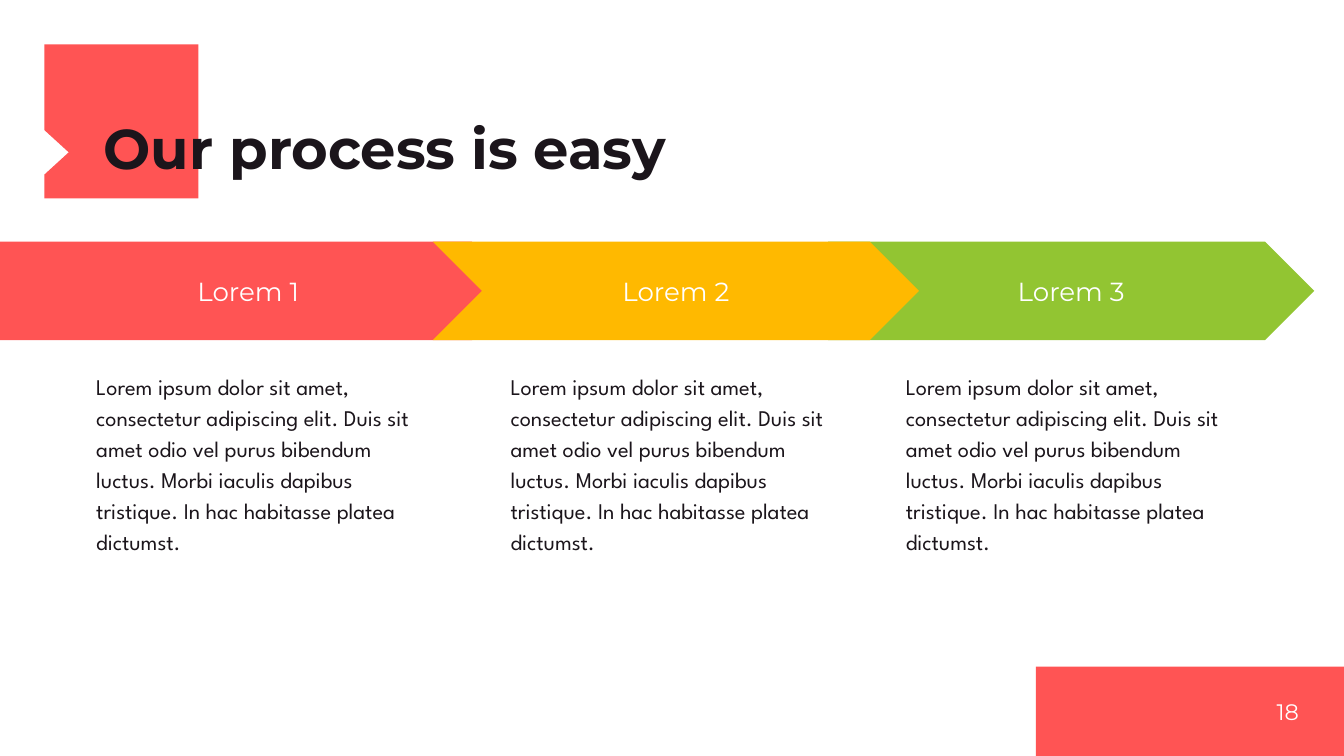
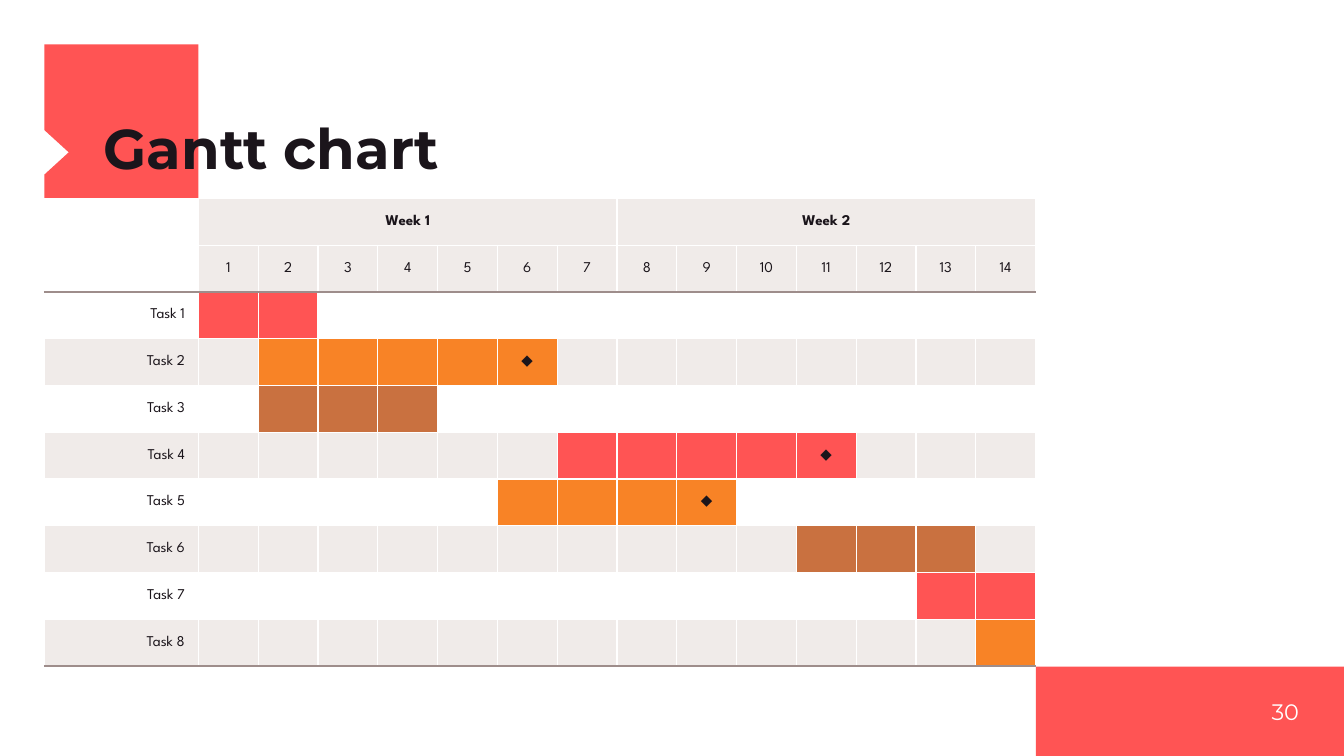
"""Builds a process slide and a Gantt chart slide in one shared style."""
from lxml import etree
from pptx import Presentation
from pptx.dml.color import RGBColor
from pptx.enum.shapes import MSO_SHAPE
from pptx.enum.text import MSO_ANCHOR, MSO_AUTO_SIZE, PP_ALIGN
from pptx.oxml.ns import qn
from pptx.util import Cm, Pt

LEFT, CENTER, RIGHT = PP_ALIGN.LEFT, PP_ALIGN.CENTER, PP_ALIGN.RIGHT
TOP, MIDDLE, BOTTOM = MSO_ANCHOR.TOP, MSO_ANCHOR.MIDDLE, MSO_ANCHOR.BOTTOM
RECTANGLE, PENTAGON, CHEVRON = MSO_SHAPE.RECTANGLE, MSO_SHAPE.PENTAGON, MSO_SHAPE.CHEVRON
NO_AUTOFIT = MSO_AUTO_SIZE.NONE
TITLE_ONLY = 5

COLORS = {
    "ink": "1B151B", "white": "FFFFFF", "red": "FF5454", "yellow": "FFB900",
    "green": "92C532", "orange": "F88326", "brown": "C97140",
    "band": "F0EBE9", "rule": "9E8D8B",
}
STYLES = {
    "title": ("Montserrat", 30, "ink", True),
    "step": ("Montserrat", 14, "white", False),
    "page": ("Montserrat", 12, "white", False),
    "body": ("League Spartan", 12, "ink", False),
    "cell": ("League Spartan", 8, "ink", False),
    "week": ("League Spartan", 8, "ink", True),
}
FLAG_OUTLINE = [(0.84, 0.84), (3.75, 0.84), (3.75, 3.75), (0.84, 3.75),
                (0.84, 3.3), (1.3, 2.88), (0.84, 2.46)]

STEP_TEXT = ("Lorem ipsum dolor sit amet, consectetur adipiscing elit. Duis sit amet odio "
             "vel purus bibendum luctus. Morbi iaculis dapibus tristique. In hac habitasse "
             "platea dictumst.")
STEP_TOP, STEP_HEIGHT = 4.57, 1.86
STEPS = [
    ("Lorem 3", CHEVRON, "green", 15.65, 9.19, 17.12),
    ("Lorem 1", PENTAGON, "red", 0, 9.85, 1.82),
    ("Lorem 2", CHEVRON, "yellow", 8.18, 9.19, 9.65),
]

DAYS, DAYS_PER_WEEK, HEADER_ROWS = 14, 7, 2
TASKS = [
    ("red", 1, 2, False), ("orange", 2, 6, True), ("brown", 2, 4, False),
    ("red", 7, 11, True), ("orange", 6, 9, True), ("brown", 11, 13, False),
    ("red", 13, 14, False), ("orange", 14, 14, False),
]


class Deck:
    """Holds the style and the current slide."""

    def __init__(self):
        self.presentation = Presentation()
        self.presentation.slide_width = Cm(25.4)
        self.presentation.slide_height = Cm(14.29)
        self.slide = None

    def color(self, key):
        return RGBColor.from_string(COLORS[key])

    def paint(self, shape, key):
        shape.shadow.inherit = False
        shape.fill.solid()
        shape.fill.fore_color.rgb = self.color(key)
        shape.line.fill.background()

    def styled_run(self, paragraph, text, style, align=LEFT, spacing=None):
        paragraph.alignment = align
        if spacing:
            paragraph.line_spacing = spacing
        run = paragraph.add_run()
        run.text = text
        name, size, key, bold = STYLES[style]
        run.font.name, run.font.size, run.font.bold = name, Pt(size), bold
        run.font.color.rgb = self.color(key)

    def fill_frame(self, frame, text, style, align=LEFT, anchor=TOP, spacing=None):
        frame.auto_size = NO_AUTOFIT
        frame.word_wrap = True
        frame.vertical_anchor = anchor
        frame.margin_left = frame.margin_top = frame.margin_right = frame.margin_bottom = 0
        self.styled_run(frame.paragraphs[0], text, style, align, spacing)

    def block(self, shapes, kind, box, key):
        shape = shapes.add_shape(kind, *map(Cm, box))
        self.paint(shape, key)
        return shape

    def text(self, shapes, box, *content, **layout):
        self.fill_frame(shapes.add_textbox(*map(Cm, box)).text_frame, *content, **layout)

    def flag(self):
        start, *corners = [(Cm(x), Cm(y)) for x, y in FLAG_OUTLINE]
        builder = self.slide.shapes.build_freeform(*start)
        builder.add_line_segments(corners, close=True)
        self.paint(builder.convert_to_shape(), "red")

    def title(self, text):
        title = self.slide.shapes.title
        title.left, title.top, title.width, title.height = map(Cm, (1.96, 2.31, 14.25, 1.09))
        self.fill_frame(title.text_frame, text, "title", anchor=BOTTOM, spacing=0.8)
        title.element.getparent().append(title.element)

    def add_slide(self, title, page):
        layout = self.presentation.slide_layouts[TITLE_ONLY]
        self.slide = self.presentation.slides.add_slide(layout)
        self.flag()
        self.block(self.slide.shapes, RECTANGLE, (19.58, 12.6, 5.82, 1.69), "red")
        self.title(title)
        self.text(self.slide.shapes, (22.86, 12.6, 1.69, 1.69), page, "page",
                  align=RIGHT, anchor=MIDDLE)

    def step(self, label, kind, key, left, width, text_left):
        shapes = self.slide.shapes.add_group_shape().shapes
        arrow = self.block(shapes, kind, (left, STEP_TOP, width, STEP_HEIGHT), key)
        arrow.adjustments[0] = 0.5
        self.fill_frame(arrow.text_frame, label, "step", CENTER, MIDDLE)
        self.text(shapes, (text_left, 6.98, 6.22, 3.68), STEP_TEXT, "body", spacing=1.15)

    def table(self, rows, columns, box, first_width):
        left, top, width, height = map(Cm, box)
        table = self.slide.shapes.add_table(rows, columns, left, top, width, height).table
        table.first_row = table.horz_banding = False
        for column in table.columns:
            column.width = (width - Cm(first_width)) // (columns - 1)
        table.columns[0].width = Cm(first_width)
        for row in table.rows:
            row.height = height // rows
        return table

    def cell(self, cell, text="", style="cell", align=CENTER, fill=None, top="white",
             bottom="white"):
        properties = cell._tc.get_or_add_tcPr()
        borders = {"lnL": "white", "lnR": "white", "lnT": top, "lnB": bottom}
        for side, key in borders.items():
            line = etree.SubElement(properties, qn(f"a:{side}"), w=str(Pt(0.75)))
            solid = etree.SubElement(line, qn("a:solidFill"))
            etree.SubElement(solid, qn("a:srgbClr"), val=COLORS[key])
        if fill:
            cell.fill.solid()
            cell.fill.fore_color.rgb = self.color(fill)
        else:
            cell.fill.background()
        cell.vertical_anchor = MIDDLE
        paragraph = cell.text_frame.paragraphs[0]
        if text:
            self.styled_run(paragraph, text, style, align)
        else:
            size = str(STYLES[style][1] * 100)
            etree.SubElement(paragraph._p, qn("a:endParaRPr"), sz=size)


def build_process(deck):
    deck.add_slide("Our process is easy", "18")
    for step in STEPS:
        deck.step(*step)


def build_gantt(deck):
    deck.add_slide("Gantt chart", "30")
    rows = HEADER_ROWS + len(TASKS)
    gantt = deck.table(rows, DAYS + 1, (0.84, 3.75, 18.74, 8.84), 2.91)

    deck.cell(gantt.cell(0, 0))
    deck.cell(gantt.cell(1, 0), bottom="rule")
    for day in range(1, DAYS + 1):
        week, offset = divmod(day - 1, DAYS_PER_WEEK)
        week_label = "" if offset else f"Week {week + 1}"
        deck.cell(gantt.cell(0, day), week_label, "week", fill="band")
        deck.cell(gantt.cell(1, day), str(day), fill="band", bottom="rule")
    for first in range(1, DAYS + 1, DAYS_PER_WEEK):
        gantt.cell(0, first).merge(gantt.cell(0, first + DAYS_PER_WEEK - 1))

    for number, (key, start, end, milestone) in enumerate(TASKS, 1):
        row = HEADER_ROWS + number - 1
        band = None if number % 2 else "band"
        edges = {"top": "rule" if number == 1 else "white",
                 "bottom": "rule" if number == len(TASKS) else "white"}
        deck.cell(gantt.cell(row, 0), f"Task {number}", align=RIGHT, fill=band, **edges)
        for day in range(1, DAYS + 1):
            mark = "◆" if milestone and day == end else ""
            fill = key if start <= day <= end else band
            deck.cell(gantt.cell(row, day), mark, fill=fill, **edges)


def main():
    deck = Deck()
    build_process(deck)
    build_gantt(deck)
    deck.presentation.save("out.pptx")


if __name__ == "__main__":
    main()
